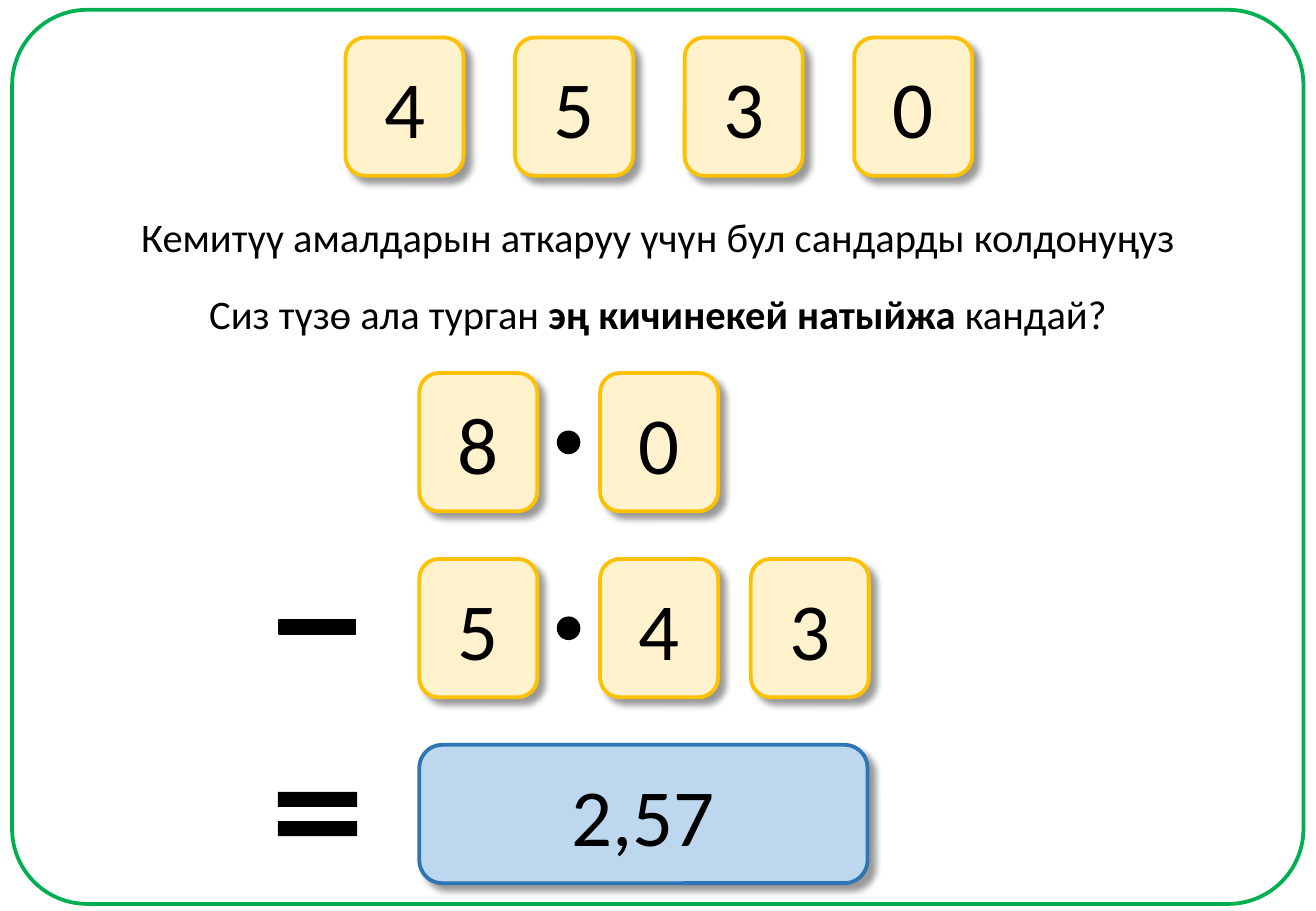
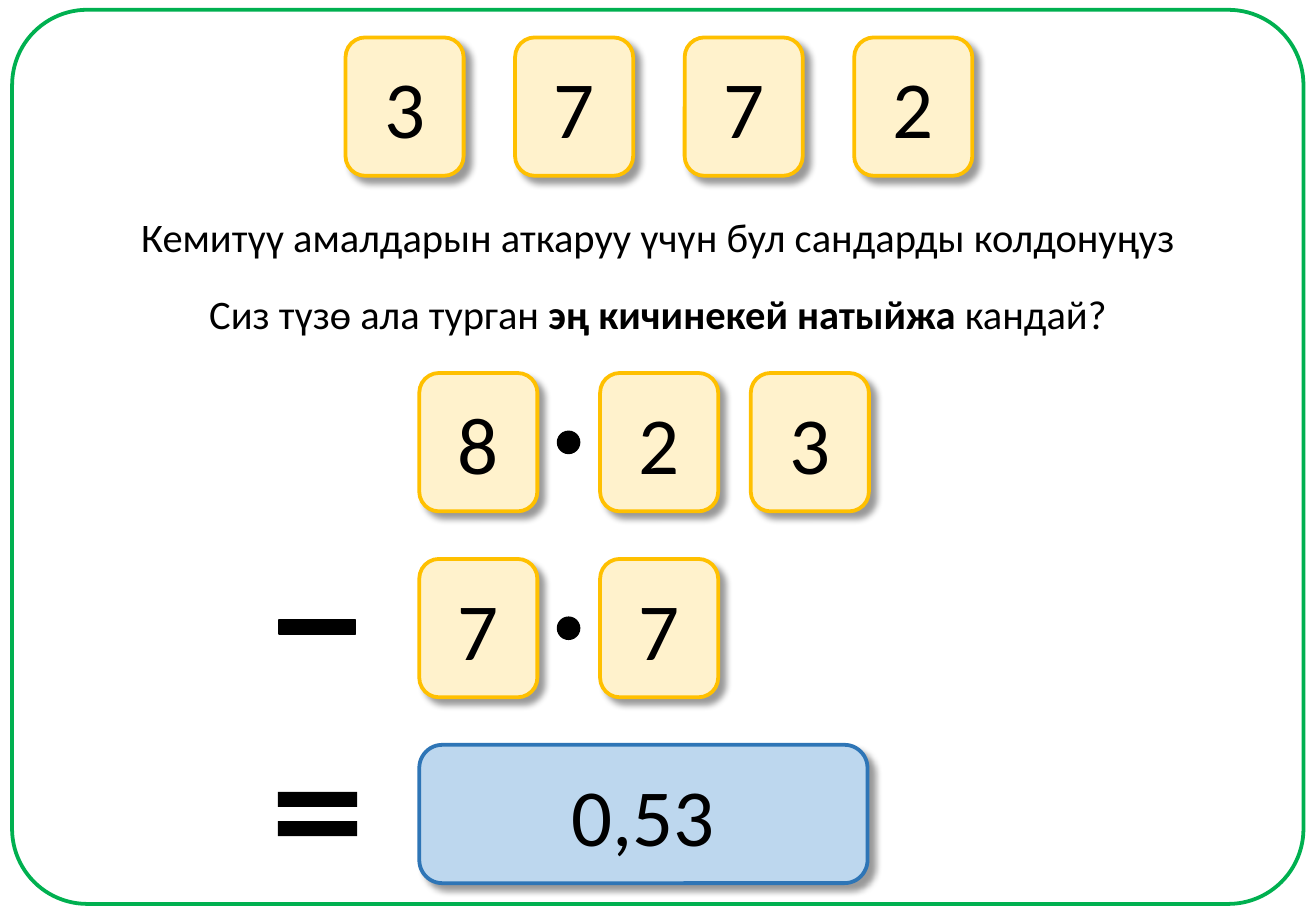
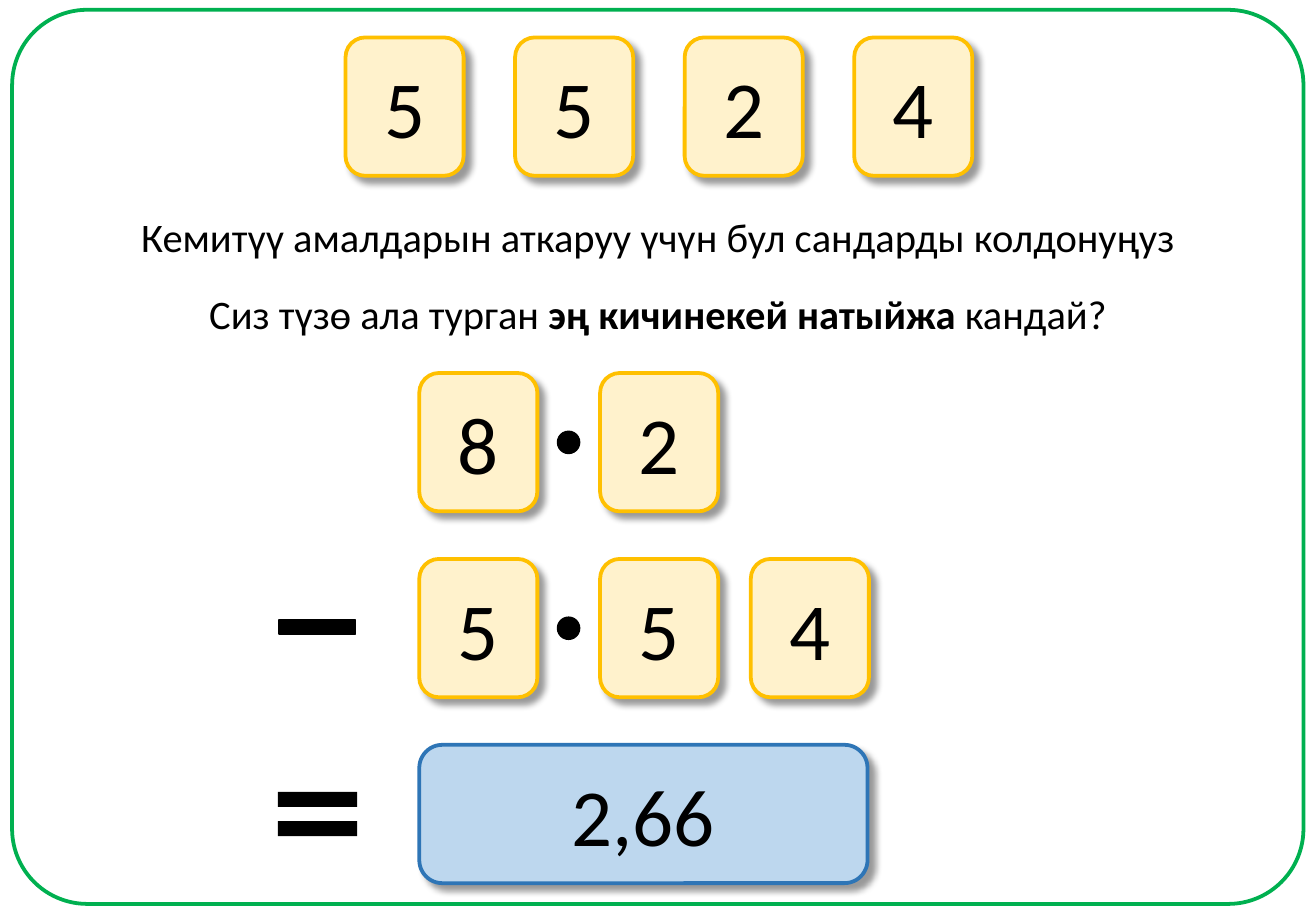
from lxml.etree import SubElement as Sub
from pptx import Presentation as Deck
from pptx.dml.color import RGBColor as Color
from pptx.enum.shapes import MSO_SHAPE as Kind
from pptx.enum.text import MSO_ANCHOR as Anchor, MSO_AUTO_SIZE as Fit, PP_ALIGN as Align
from pptx.oxml.ns import qn
from pptx.util import Pt

WIDE, HIGH = 780, 540
CARD_W, CARD_H = 70, 82
COLS = (248.5, 355.7, 445)
ROWS = [221.1 + 110.2 * i for i in range(3)]
TOP_X, TOP_Y, TOP_STEP = 204.8, 22.2, 100.5
TASK = [("Кемитүү амалдарын аткаруу үчүн бул сандарды колдонуңуз", False)]
ASK = [
    ("Сиз түзө ала турган ", False),
    ("эң кичинекей натыйжа ", True),
    ("кандай?", False),
]
GAMES = [
    ("4530", "80", "543", "2,57"),
    ("3772", "823", "77", "0,53"),
    ("5524", "82", "554", "2,66"),
]


def tint(code):
    return Color.from_string(code)


class Board:
    font = "Calibri"
    ink = "000000"
    edge = "00B050"
    gold = ("FFF2CC", "FFC000")
    blue = ("BDD7EE", "2E75B6")

    def __init__(self):
        self.deck = Deck()
        self.deck.slide_width, self.deck.slide_height = Pt(WIDE), Pt(HIGH)
        self.page = None

    def new(self):
        self.page = self.deck.slides.add_slide(self.deck.slide_layouts[6])

    def shape(self, kind, box, fill=None, line=None, width=1, bends=()):
        item = self.page.shapes.add_shape(kind, *map(Pt, box))
        item.shadow.inherit = False
        for i, bend in enumerate(bends):
            item.adjustments[i] = bend
        if fill:
            item.fill.solid()
            item.fill.fore_color.rgb = tint(fill)
        else:
            item.fill.background()
        if line:
            item.line.color.rgb = tint(line)
            item.line.width = Pt(width)
        else:
            item.line.fill.background()
        return item

    def shade(self, item):
        glow = item._element.spPr.find(qn("a:effectLst"))
        cast = Sub(glow, qn("a:outerShdw"), blurRad=str(Pt(4)), dist=str(Pt(5)),
                   dir="2700000", algn="tl", rotWithShape="0")
        dark = Sub(cast, qn("a:srgbClr"), val=self.ink)
        Sub(dark, qn("a:alpha"), val="40000")

    def style(self, run, size, bold=False):
        run.font.name = self.font
        run.font.size = Pt(size)
        run.font.bold = bold
        run.font.color.rgb = tint(self.ink)

    def card(self, text, x, y, look=gold, width=CARD_W):
        item = self.shape(Kind.ROUNDED_RECTANGLE, (x, y, width, CARD_H), *look, width=2.25)
        self.shade(item)
        frame = item.text_frame
        frame.text = text
        frame.vertical_anchor = Anchor.MIDDLE
        frame.paragraphs[0].alignment = Align.CENTER
        self.style(frame.paragraphs[0].runs[0], 48)

    def label(self, parts, y, width):
        box = ((WIDE - width) / 2, y, width, 36)
        frame = self.page.shapes.add_textbox(*map(Pt, box)).text_frame
        frame.word_wrap = False
        frame.auto_size = Fit.SHAPE_TO_FIT_TEXT
        line = frame.paragraphs[0]
        line.alignment = Align.CENTER
        for text, bold in parts:
            run = line.add_run()
            run.text = text
            self.style(run, 24, bold)

    def border(self):
        self.shape(Kind.ROUNDED_RECTANGLE, (7.2, 5.8, 765.4, 530), None, self.edge, 2.25, (0.084,))

    def number(self, digits, y):
        for digit, x in zip(digits, COLS):
            self.card(digit, x, y)
        self.shape(Kind.OVAL, (330.5, y + 34.6, 13, 13), self.ink, self.ink)

    def signs(self):
        self.shape(Kind.MATH_MINUS, (157, ROWS[1] + 9.4, 62, 62), self.ink, self.ink, bends=(0.132,))
        self.shape(Kind.MATH_EQUAL, (156.2, ROWS[2] + 5, 64, 72), self.ink, bends=(0.123, 0.118))

    def game(self, top, first, second, result):
        self.new()
        self.border()
        for i, digit in enumerate(top):
            self.card(digit, TOP_X + TOP_STEP * i, TOP_Y)
        self.label(TASK, 122.4, 633.6)
        self.label(ASK, 167.8, 551.5)
        self.number(first, ROWS[0])
        self.number(second, ROWS[1])
        self.signs()
        self.card(result, COLS[0], ROWS[2], self.blue, 265.7)


def main():
    board = Board()
    for game in GAMES:
        board.game(*game)
    board.deck.save("out.pptx")


if __name__ == "__main__":
    main()
